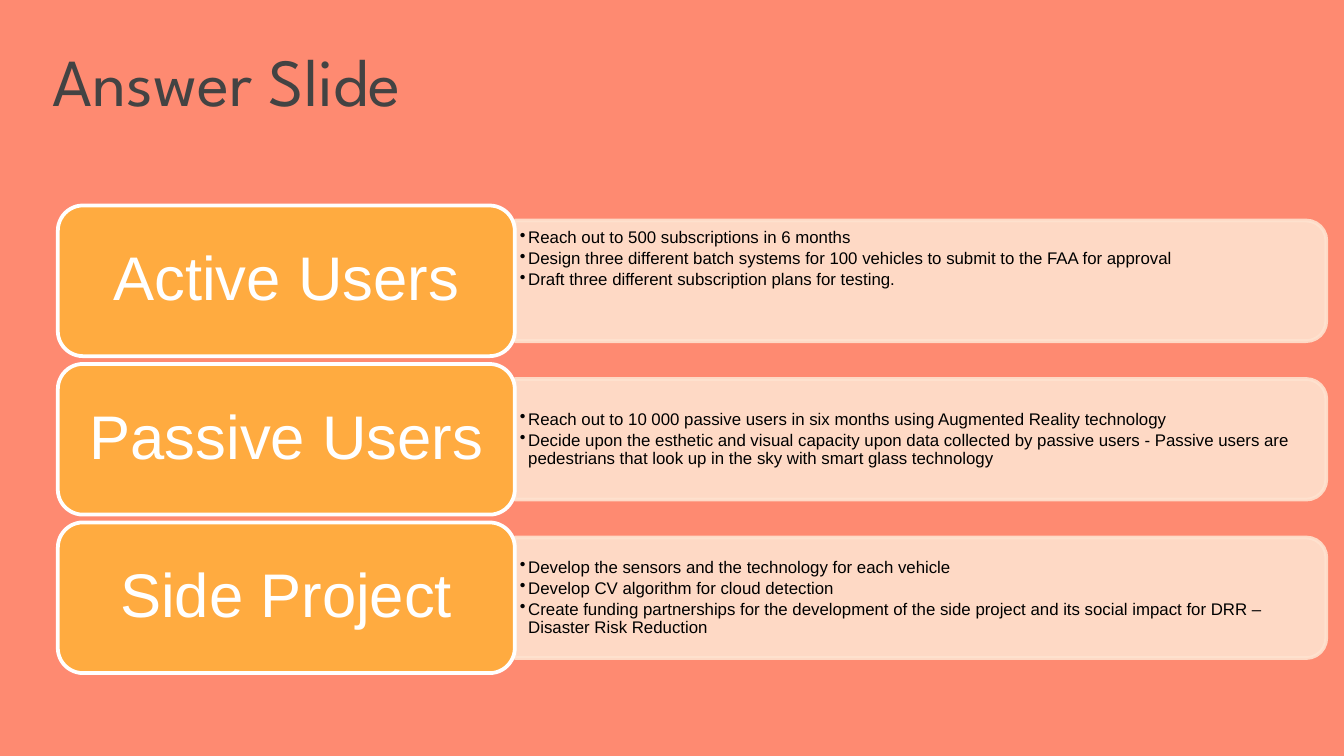
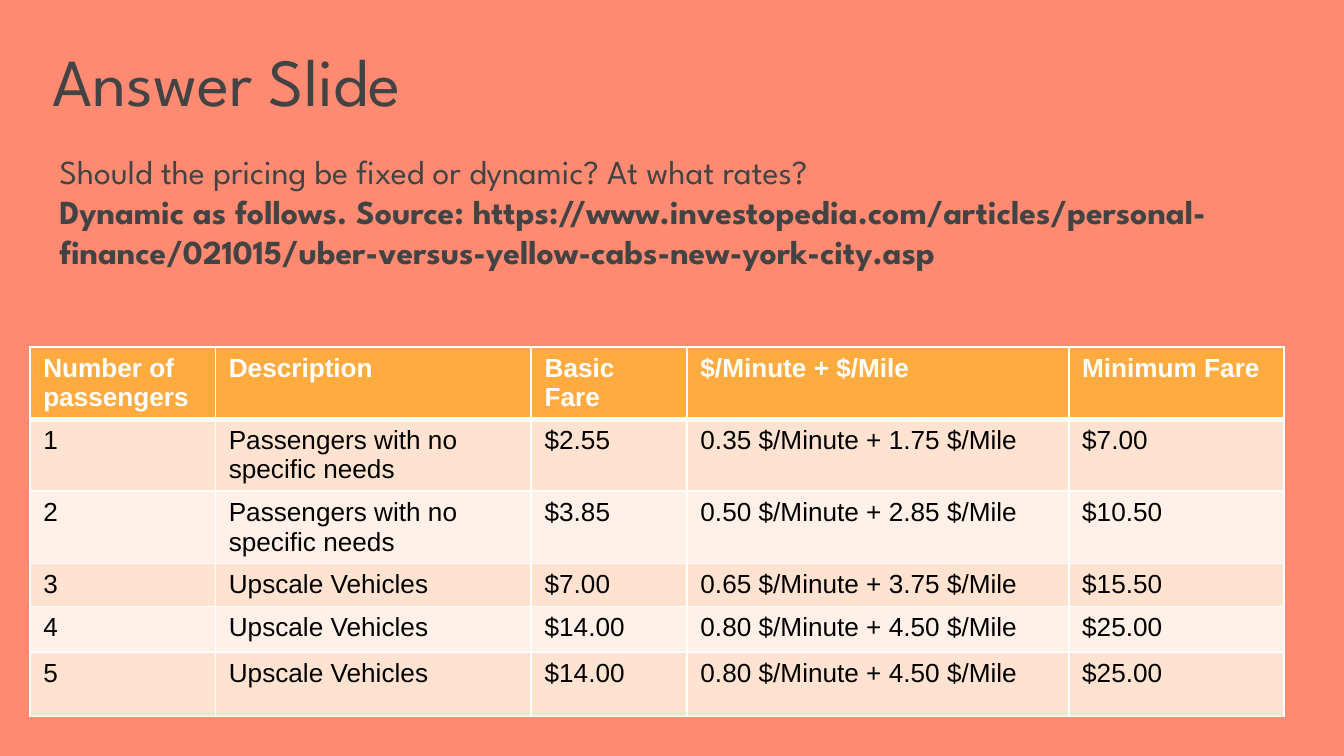
from lxml import etree
from pptx import Presentation
from pptx import util as u
from pptx.dml import color
from pptx.enum import shapes, text
from pptx.oxml import ns

Pt = u.Pt
CORAL, ORANGE, PEACH, CREAM = "FE8A71", "FFAB40", "FFE2CF", "FFF1E8"
WHITE, BLACK, GREY = "FFFFFF", "000000", "434343"
HEADING_FONT, BODY_FONT = "League Spartan", "Arial"

GOALS = [
    ("Active Users", text.MSO_ANCHOR.TOP, [
        "Reach out to 500 subscriptions in 6 months",
        "Design three different batch systems for 100 vehicles to submit to the FAA for approval",
        "Draft three different subscription plans for testing.",
    ]),
    ("Passive Users", text.MSO_ANCHOR.MIDDLE, [
        "Reach out to 10 000 passive users in six months using Augmented Reality technology",
        "Decide upon the esthetic and visual capacity upon data collected by passive users - "
        "Passive users are pedestrians that look up in the sky with smart glass technology",
    ]),
    ("Side Project", text.MSO_ANCHOR.MIDDLE, [
        "Develop the sensors and the technology for each vehicle",
        "Develop CV algorithm for cloud detection",
        "Create funding partnerships for the development of the side project and its social "
        "impact for DRR – Disaster Risk Reduction",
    ]),
]

QUESTION = "Should the pricing be fixed or dynamic? At what rates?"
ANSWER = ("Dynamic as follows. Source: https://www.investopedia.com/articles/"
          "personal-finance/021015/uber-versus-yellow-cabs-new-york-city.asp")

FARES = [
    ("Number of passengers", "Description", "Basic Fare", "$/Minute + $/Mile", "Minimum Fare"),
    ("1", "Passengers with no specific needs", "$2.55", "0.35 $/Minute + 1.75 $/Mile", "$7.00"),
    ("2", "Passengers with no specific needs", "$3.85", "0.50 $/Minute + 2.85 $/Mile", "$10.50"),
    ("3", "Upscale Vehicles", "$7.00", "0.65 $/Minute + 3.75 $/Mile", "$15.50"),
    ("4", "Upscale Vehicles", "$14.00", "0.80 $/Minute + 4.50 $/Mile", "$25.00"),
    ("5", "Upscale Vehicles", "$14.00", "0.80 $/Minute + 4.50 $/Mile", "$25.00"),
]
COLUMN_WIDTHS = [99.4, 169.2, 83.5, 204.5, 115.2]
ROW_HEIGHTS = [34.5, 34.5, 34.5, 23, 24.5, 34.5]


def rgb(value):
    return color.RGBColor.from_string(value)


def add_element(parent, tag, **attributes):
    return etree.SubElement(parent, ns.qn(tag), attributes)


def style_font(font, name, size, fill, bold=False):
    font.name = name
    font.size = Pt(size)
    font.bold = bold
    font.color.rgb = rgb(fill)


def set_frame(frame, margins, anchor):
    frame.word_wrap = True
    frame.auto_size = text.MSO_AUTO_SIZE.NONE
    frame.vertical_anchor = anchor
    frame.margin_left = frame.margin_right = Pt(margins[0])
    frame.margin_top = frame.margin_bottom = Pt(margins[1])


def set_indent(paragraph, left, first, bullet=None):
    properties = paragraph._p.get_or_add_pPr()
    properties.set("marL", str(Pt(left)))
    properties.set("indent", str(Pt(first)))
    if bullet:
        add_element(add_element(properties, "a:buClr"), "a:srgbClr", val=BLACK)
        add_element(properties, "a:buChar", char=bullet)
    else:
        add_element(properties, "a:buNone")


def place(shape, box):
    shape.left, shape.top, shape.width, shape.height = map(Pt, box)


def add_block(group, preset, box, fill, line, alpha=None):
    shape = group.shapes.add_shape(preset, *map(Pt, box))
    shape.shadow.inherit = False
    shape.fill.solid()
    shape.fill.fore_color.rgb = rgb(fill)
    shape.line.color.rgb = rgb(line)
    shape.line.width = Pt(2)
    if alpha:
        for element in shape._element.spPr.iter(ns.qn("a:srgbClr")):
            add_element(element, "a:alpha", val=str(alpha * 1000))
    return shape


def add_title(slide):
    title = slide.shapes.title
    place(title, (21, 13.7, 671, 50.4))
    set_frame(title.text_frame, (7.2, 7.2), text.MSO_ANCHOR.TOP)
    title.text_frame.text = "Answer Slide"
    paragraph = title.text_frame.paragraphs[0]
    paragraph.alignment = text.PP_ALIGN.LEFT
    style_font(paragraph.runs[0].font, HEADING_FONT, 36, GREY)


def add_goal_panel(group, box, items, anchor):
    left, top, width, height = box
    turned = (left + (width - height) / 2, top + (height - width) / 2, height, width)
    panel = add_block(group, shapes.MSO_SHAPE.ROUND_2_SAME_RECTANGLE, turned, PEACH, PEACH, 90)
    panel.rotation = 90
    textbox = group.shapes.add_textbox(Pt(left), Pt(top + 3.2), Pt(width - 3.2), Pt(height - 6.4))
    frame = textbox.text_frame
    set_frame(frame, (2.7, 1.35), anchor)
    frame.text = "\n".join(items)
    for paragraph in frame.paragraphs:
        paragraph.level = 1
        paragraph.line_spacing = 0.9
        paragraph.space_after = Pt(1.5)
        set_indent(paragraph, 4.5, -4.5, "•")
        style_font(paragraph.runs[0].font, BODY_FONT, 9, BLACK)


def add_goal_label(group, box, label):
    left, top, width, height = box
    add_block(group, shapes.MSO_SHAPE.ROUNDED_RECTANGLE, box, ORANGE, WHITE)
    inset = 4
    textbox = group.shapes.add_textbox(Pt(left + inset), Pt(top + inset),
                                       Pt(width - 2 * inset), Pt(height - 2 * inset))
    set_frame(textbox.text_frame, (9.9, 4.95), text.MSO_ANCHOR.MIDDLE)
    textbox.text_frame.text = label
    paragraph = textbox.text_frame.paragraphs[0]
    paragraph.alignment = text.PP_ALIGN.CENTER
    paragraph.line_spacing = 0.9
    style_font(paragraph.runs[0].font, BODY_FONT, 33, WHITE)


def add_goals(slide, box):
    left, top, width, height = box
    label_width, label_height, panel_height = 244.8, 80.7, 64.6
    pitch = (height - label_height) / (len(GOALS) - 1)
    group = slide.shapes.add_group_shape()
    for index, (label, anchor, items) in enumerate(GOALS):
        row_top = top + index * pitch
        panel_top = row_top + (label_height - panel_height) / 2
        panel_box = (left + label_width, panel_top, width - label_width, panel_height)
        add_goal_panel(group, panel_box, items, anchor)
        add_goal_label(group, (left, row_top, label_width, label_height), label)


def add_pricing_answer(slide, box):
    body = slide.placeholders[1]
    place(body, box)
    set_frame(body.text_frame, (7.2, 7.2), text.MSO_ANCHOR.TOP)
    paragraph = body.text_frame.paragraphs[0]
    paragraph.space_before = Pt(0)
    set_indent(paragraph, 8.6, 0)
    for content, bold in ((QUESTION, False), (ANSWER, True)):
        if bold:
            paragraph.add_line_break()
        run = paragraph.add_run()
        run.text = content
        style_font(run.font, HEADING_FONT, 18, GREY, bold)


def set_borders(cell, widths):
    properties = cell._tc.get_or_add_tcPr()
    for side, width in zip("LRTB", widths):
        line = add_element(properties, f"a:ln{side}", w=str(Pt(width)))
        add_element(add_element(line, "a:solidFill"), "a:srgbClr", val=WHITE)


def add_fare_table(slide, left, top):
    frame = slide.shapes.add_table(len(FARES), len(COLUMN_WIDTHS), Pt(left), Pt(top),
                                   Pt(sum(COLUMN_WIDTHS)), Pt(sum(ROW_HEIGHTS)))
    table = frame.table
    for column, width in zip(table.columns, COLUMN_WIDTHS):
        column.width = Pt(width)
    for row_index, (row, height, values) in enumerate(zip(table.rows, ROW_HEIGHTS, FARES)):
        row.height = Pt(height)
        header = row_index == 0
        fill = ORANGE if header else (CREAM, PEACH)[row_index % 2]
        widths = (1, 1, 3 if row_index == 1 else 1, 3 if header else 1)
        for cell, value in zip(row.cells, values):
            set_borders(cell, widths)
            cell.fill.solid()
            cell.fill.fore_color.rgb = rgb(fill)
            cell.text_frame.text = value
            run = cell.text_frame.paragraphs[0].runs[0]
            style_font(run.font, BODY_FONT, 14, WHITE if header else BLACK, header)


def build_goals_slide(presentation):
    slide = presentation.slides.add_slide(presentation.slide_layouts[5])
    add_title(slide)
    add_goals(slide, (31, 110.1, 679.5, 250.5))


def build_pricing_slide(presentation):
    slide = presentation.slides.add_slide(presentation.slide_layouts[1])
    add_title(slide)
    add_pricing_answer(slide, (16, 73.4, 671.8, 317.5))
    add_fare_table(slide, 16, 185.8)


def main():
    presentation = Presentation()
    presentation.slide_width = Pt(720)
    presentation.slide_height = Pt(405)
    background = presentation.slide_master.background.fill
    background.solid()
    background.fore_color.rgb = rgb(CORAL)
    build_goals_slide(presentation)
    build_pricing_slide(presentation)
    presentation.save("out.pptx")


if __name__ == "__main__":
    main()
